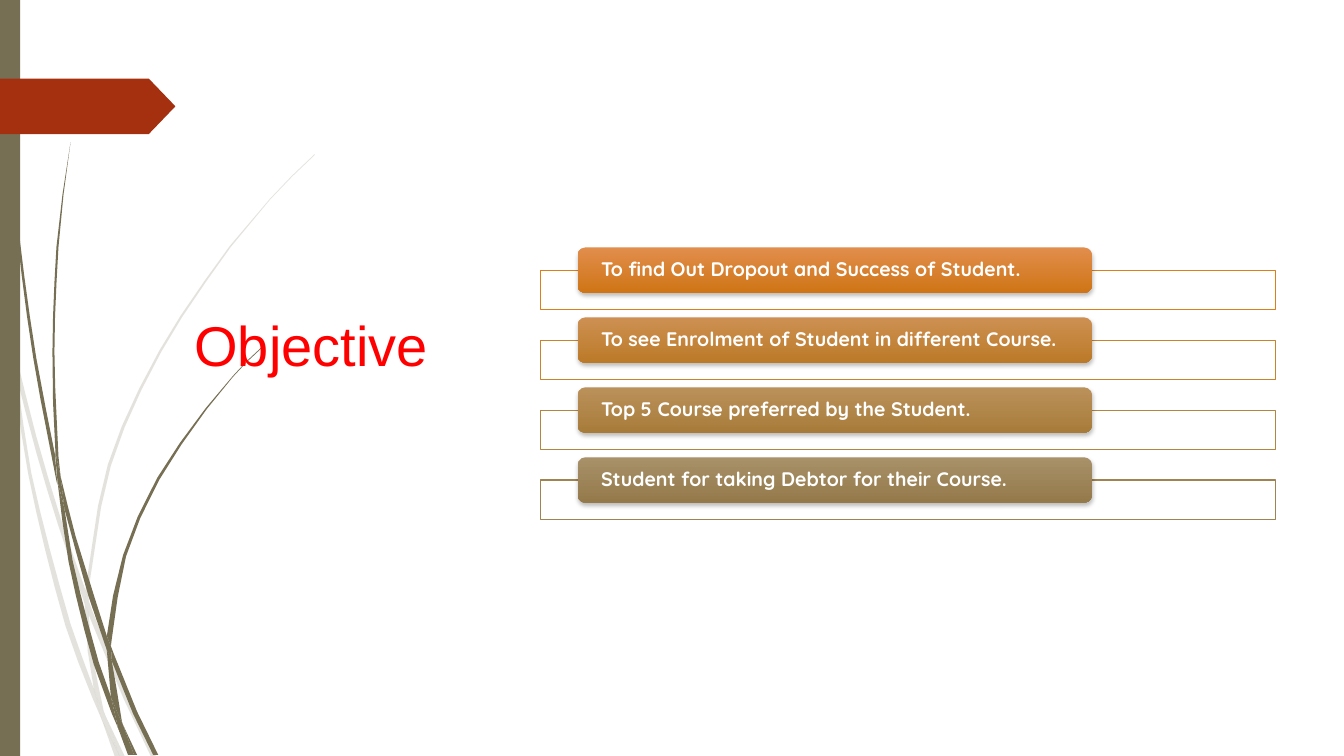
from itertools import pairwise
from lxml import etree
from pptx import Presentation
from pptx.dml.color import RGBColor
from pptx.enum.shapes import MSO_SHAPE
from pptx.enum.text import MSO_ANCHOR, MSO_AUTO_SIZE, PP_ALIGN
from pptx.oxml.ns import qn
from pptx.util import Inches, Pt

CELL = Inches(0.01)
COLUMNS, ROWS = 1333, 750
OLIVE, RUST, WHITE, RED = "766F54", "A53010", "FFFFFF", "FF0000"
ROW_PITCH = 69.4
CURVE_STEP = 40

OBJECTIVES = [
    ("To find Out Dropout and Success of Student.", "DE7E18", "E18D4C", "CF7516"),
    ("To see Enrolment of Student in different Course.", "C9832B", "CE9052", "BB7A28"),
    ("Top 5 Course preferred by the Student.", "B4853E", "BB915B", "A77C3A"),
    ("Student for taking Debtor for their Course.", "9F8351", "A89068", "947A4B"),
]

PALE_BLADES = [
    ([(0, 282), (9, 322), (11, 350)], [(10, 344), (0, 299)]),
    ([(14, 345), (36, 433), (62, 520), (85, 586)],
     [(84, 599), (58, 522), (36, 449), (17, 376)]),
    ([(88, 596), (92, 607), (127, 692), (155, 751)], [(150, 751), (123, 694), (88, 610)]),
    ([(105, 711), (124, 751)], [(119, 751)]),
    ([(11, 350), (17, 376), (31, 469), (70, 619), (93, 683), (99, 707), (101, 714)],
     [(92, 693), (65, 621), (28, 470), (11, 350)]),
    ([(84, 599), (87, 646), (93, 683), (96, 692), (105, 711)],
     [(103, 706), (91, 646), (88, 610), (88, 608)]),
    ([(312, 153), (289, 175), (268, 197), (228, 244), (158, 348), (107, 461), (85, 584),
      (85, 586), (88, 596)],
     [(88, 584), (110, 462), (160, 349), (229, 245), (268, 198), (290, 175), (312, 154)]),
    ([(101, 714), (114, 751)], [(119, 751)]),
    ([(85, 586), (84, 599), (88, 608)], [(88, 610), (88, 596)]),
    ([(93, 683), (99, 707), (101, 714), (119, 751)], [(105, 711), (96, 692)]),
]

DARK_BLADES = [
    ([(3, 0), (4, 48), (7, 110), (17, 233), (33, 355), (56, 477), (57, 481)],
     [(55, 457), (55, 453), (36, 355), (19, 232), (8, 109), (5, 48), (4, 0)]),
    ([(60, 472), (75, 532), (93, 590), (106, 631)], [(106, 645), (88, 592), (64, 505)]),
    ([(110, 641), (113, 649), (136, 706), (157, 749)], [(152, 749), (132, 708), (111, 656)]),
    ([(57, 477), (64, 505), (72, 556), (98, 657), (110, 691), (116, 717), (117, 722)],
     [(111, 708), (93, 659), (68, 557), (57, 477)]),
    ([(70, 141), (62, 193), (56, 245), (52, 349), (55, 449), (60, 472)],
     [(58, 453), (54, 349), (58, 245), (63, 193), (70, 141)]),
    ([(122, 719), (136, 749)], [(133, 749)]),
    ([(55, 449), (55, 453), (57, 477), (64, 505)], [(60, 472)]),
    ([(260, 344), (245, 358), (231, 373), (204, 405), (156, 474), (122, 551), (106, 631),
      (110, 641)],
     [(111, 633), (125, 552), (158, 476), (205, 406), (231, 374), (245, 359), (261, 344)]),
    ([(117, 722), (127, 749)], [(131, 749)]),
    ([(106, 645), (110, 691), (116, 706), (122, 719)],
     [(121, 716), (111, 656), (109, 651)]),
    ([(106, 631), (106, 645), (111, 656)], [(110, 641)]),
    ([(110, 691), (116, 717), (117, 722), (130, 749)], [(133, 749), (122, 719), (116, 706)]),
]


def rgb(color):
    """Turn a hex string into a colour."""
    return RGBColor.from_string(color)


def place(shape, left, top, width, height):
    """Put a shape on the grid."""
    shape.left, shape.top = int(left * CELL), int(top * CELL)
    shape.width, shape.height = int(width * CELL), int(height * CELL)


def paint(shape, color, opacity=100):
    """Give a shape a plain fill with no line and no shadow."""
    shape.shadow.inherit = False
    shape.line.fill.background()
    shape.fill.solid()
    shape.fill.fore_color.rgb = rgb(color)
    if opacity < 100:
        fill_color = next(shape.element.iter(qn("a:srgbClr")))
        etree.SubElement(fill_color, qn("a:alpha"), val=str(opacity * 1000))


def add_block(slide, preset, box, color, opacity=100):
    """Add a preset shape in one colour."""
    shape = slide.shapes.add_shape(preset, 0, 0, CELL, CELL)
    place(shape, *box)
    paint(shape, color, opacity)
    return shape


def smooth(edge):
    """Run a smooth curve, with x depending on y, through the points of an edge."""
    slopes = []
    for index in range(len(edge)):
        around = edge[max(index - 1, 0):index + 2]
        rise = around[-1][1] - around[0][1]
        slopes.append((around[-1][0] - around[0][0]) / rise if rise else 0)
    points = [edge[0]]
    for ((x0, y0), slope0), ((x1, y1), slope1) in pairwise(zip(edge, slopes)):
        span = y1 - y0
        steps = max(1, round(abs(span) / CURVE_STEP))
        for step in range(1, steps + 1):
            t = step / steps
            blend = t * t * (3 - 2 * t)
            bend = t * (1 - t) * span * ((1 - t) * slope0 - t * slope1)
            points.append((x0 + (x1 - x0) * blend + bend, y0 + span * t))
    return points


def add_blade(slide, edges, opacity):
    """Add one piece of the grass from its edges."""
    outline = [(x * CELL, y * CELL) for edge in edges for x, y in smooth(edge)]
    builder = slide.shapes.build_freeform(*outline[0])
    builder.add_line_segments(outline[1:], close=True)
    paint(builder.convert_to_shape(), OLIVE, opacity)


def add_run(paragraph, text, font, size, color, bold=False):
    """Add a formatted run of text."""
    run = paragraph.add_run()
    run.text = text
    run.font.name, run.font.size, run.font.bold = font, Pt(size), bold
    run.font.color.rgb = rgb(color)


def add_drop_shadow(shape):
    """Add a soft shadow straight below a shape."""
    effects = shape.element.spPr.find(qn("a:effectLst"))
    shadow = etree.SubElement(effects, qn("a:outerShdw"), blurRad=str(Pt(3)),
                              dist=str(Pt(2)), dir="5400000", rotWithShape="0")
    color = etree.SubElement(shadow, qn("a:srgbClr"), val="000000")
    etree.SubElement(color, qn("a:alpha"), val="25000")


def add_objective(slide, row, text, line_color, top_color, bottom_color):
    """Add one objective: an outlined frame with a shaded bar on its top edge."""
    offset = row * ROW_PITCH
    frame = add_block(slide, MSO_SHAPE.RECTANGLE, (536, 268 + offset, 729, 39), WHITE, 90)
    frame.line.color.rgb = rgb(line_color)
    frame.line.width = Pt(0.75)

    bar = add_block(slide, MSO_SHAPE.ROUNDED_RECTANGLE, (573, 245.5 + offset, 510, 45),
                    top_color)
    bar.fill.gradient()
    bar.fill.gradient_angle = 270
    for stop, color in zip(bar.fill.gradient_stops, (top_color, bottom_color)):
        stop.color.rgb = rgb(color)
    add_drop_shadow(bar)

    text_frame = bar.text_frame
    text_frame.word_wrap = True
    text_frame.vertical_anchor = MSO_ANCHOR.MIDDLE
    text_frame.margin_left = text_frame.margin_right = 21 * CELL
    text_frame.margin_top = text_frame.margin_bottom = 0
    paragraph = text_frame.paragraphs[0]
    paragraph.alignment = PP_ALIGN.LEFT
    paragraph.line_spacing = 0.9
    add_run(paragraph, text, "Quicksand", 14, WHITE, bold=True)


def add_title(slide, text):
    """Fill the title placeholder and bring it in front of the grass."""
    title = slide.shapes.title
    place(title, 138, 286, 341, 94)
    title.element.getparent().append(title.element)
    text_frame = title.text_frame
    text_frame.word_wrap = True
    text_frame.auto_size = MSO_AUTO_SIZE.NONE
    text_frame.vertical_anchor = MSO_ANCHOR.BOTTOM
    paragraph = text_frame.paragraphs[0]
    paragraph.alignment = PP_ALIGN.CENTER
    add_run(paragraph, text, "Arial", 40, RED)


def main():
    """Build the slide and save it."""
    presentation = Presentation()
    presentation.slide_width, presentation.slide_height = COLUMNS * CELL, ROWS * CELL
    slide = presentation.slides.add_slide(presentation.slide_layouts[5])
    for blades, opacity in ((PALE_BLADES, 20), (DARK_BLADES, 100)):
        for edges in blades:
            add_blade(slide, edges, opacity)
    add_block(slide, MSO_SHAPE.RECTANGLE, (0, 0, 20, ROWS), OLIVE)
    arrow = add_block(slide, MSO_SHAPE.PENTAGON, (0, 78, 174, 55), RUST)
    arrow.adjustments[0] = 0.48
    add_title(slide, "Objective")
    for row, objective in enumerate(OBJECTIVES):
        add_objective(slide, row, *objective)
    presentation.save("out.pptx")


if __name__ == "__main__":
    main()
